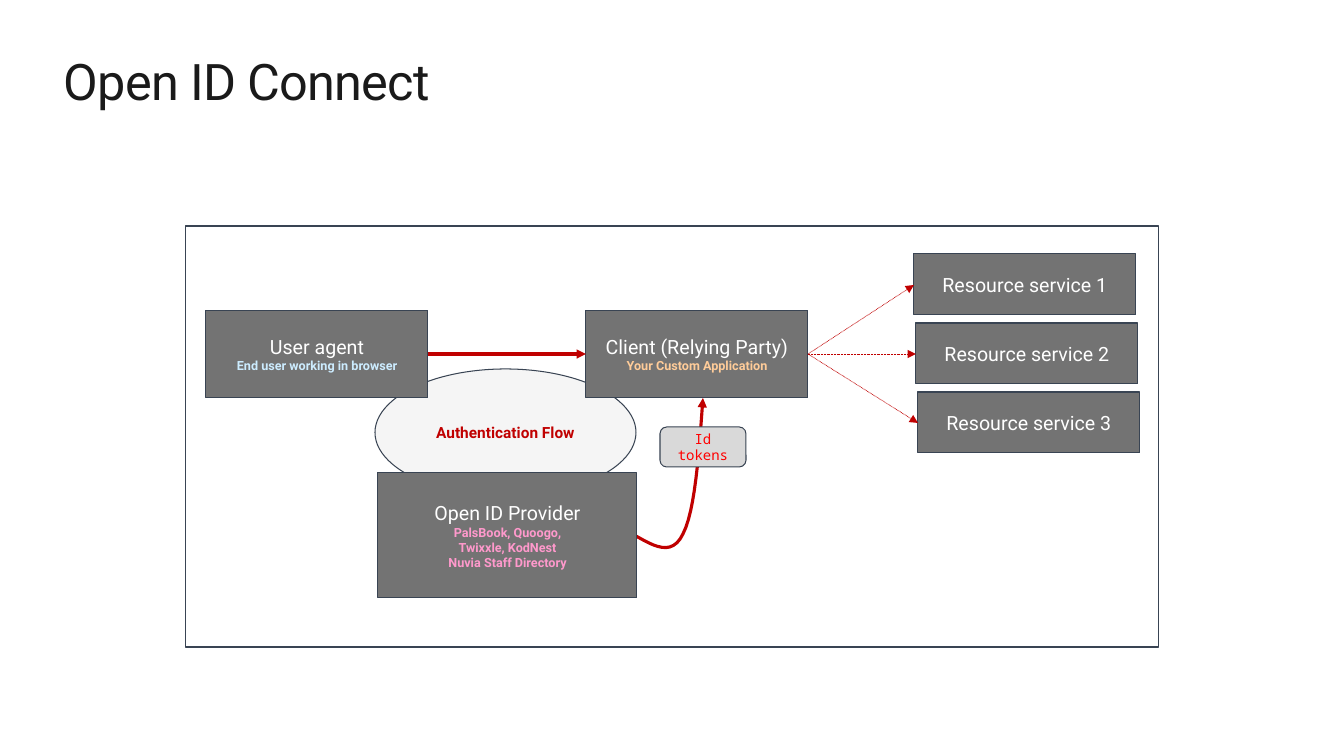
import pptx
import pptx.dml.color
import pptx.enum.dml
import pptx.enum.shapes
import pptx.enum.text
import pptx.oxml.ns
import pptx.util
from lxml import etree

EMU_PER_PX = 914400 / 100.8
SHAPES = pptx.enum.shapes.MSO_SHAPE
ALIGN = pptx.enum.text.PP_ALIGN
ANCHOR = pptx.enum.text.MSO_ANCHOR
OUTLINE, GREY, RED, WHITE = "394453", "737373", "C00000", "FFFFFF"


def px(length):
    return pptx.util.Emu(round(length * EMU_PER_PX))


def colour(value):
    return pptx.dml.color.RGBColor.from_string(value)


def style(size, ink, bold=False, name="Roboto"):
    return {"size": pptx.util.Pt(size), "bold": bold, "name": name, "ink": ink}


def write(box, lines, align=ALIGN.CENTER, anchor=ANCHOR.MIDDLE):
    """Fill a shape with (text, style) pairs, one paragraph each."""
    frame = box.text_frame
    frame.word_wrap = True
    frame.vertical_anchor = anchor
    for index, (text, look) in enumerate(lines):
        para = frame.paragraphs[0] if index == 0 else frame.add_paragraph()
        para.alignment = align
        span = para.add_run()
        span.text = text
        for key, value in look.items():
            if key == "ink":
                span.font.color.rgb = colour(value)
            else:
                setattr(span.font, key, value)
    return frame


def add_box(page, kind, area, fill, lines=()):
    box = page.shapes.add_shape(kind, *map(px, area))
    box.shadow.inherit = False
    box.fill.solid()
    box.fill.fore_color.rgb = colour(fill)
    box.line.color.rgb = colour(OUTLINE)
    box.line.width = pptx.util.Pt(0.75)
    write(box, lines)


def add_node(page, area, name, details=(), ink=WHITE):
    lines = [(name, style(14, WHITE))]
    lines += [(detail, style(9, ink, bold=True)) for detail in details]
    add_box(page, SHAPES.RECTANGLE, area, GREY, lines)


def finish_arrow(arrow, width, dash=None):
    arrow.line.color.rgb = colour(RED)
    arrow.line.width = pptx.util.Pt(width)
    if dash:
        arrow.line.dash_style = dash
    etree.SubElement(arrow.line._get_or_add_ln(),
                     pptx.oxml.ns.qn("a:tailEnd"), type="triangle")


def add_arrow(page, start, end, width, dash=None):
    arrow = page.shapes.add_connector(
        pptx.enum.shapes.MSO_CONNECTOR.STRAIGHT, *map(px, start + end))
    finish_arrow(arrow, width, dash)
    etree.SubElement(arrow._element.spPr, pptx.oxml.ns.qn("a:effectLst"))


def bezier(corners, steps=12):
    """Points along a cubic curve, after its first one."""
    for step in range(1, steps + 1):
        t = step / steps
        weights = ((1 - t) ** 3, 3 * t * (1 - t) ** 2,
                   3 * t ** 2 * (1 - t), t ** 3)
        yield tuple(px(sum(w * corner[axis] for w, corner in zip(weights, corners)))
                    for axis in (0, 1))


def add_curved_arrow(page, points, width):
    builder = page.shapes.build_freeform(*map(px, points[0]))
    for first in range(0, len(points) - 1, 3):
        builder.add_line_segments(list(bezier(points[first:first + 4])), close=False)
    arrow = builder.convert_to_shape()
    arrow.shadow.inherit = False
    arrow.fill.background()
    finish_arrow(arrow, width)


def add_title(page, text):
    box = page.shapes.add_textbox(*map(px, (64, 50, 1215, 61)))
    frame = write(box, [(text, style(36, "1A1A1A"))], ALIGN.LEFT, ANCHOR.TOP)
    for side in ("left", "right", "top", "bottom"):
        setattr(frame, f"margin_{side}", 0)
    frame.paragraphs[0].runs[0].font._element.set("spc", "-50")


def add_resources(page, start):
    for index in range(3):
        left, top = 914 + 2 * index, 254 + 69 * index
        add_node(page, (left, top, 222, 61), f"Resource service {index + 1}")
        add_arrow(page, start, (left, top + 31), 0.5,
                  pptx.enum.dml.MSO_LINE.ROUND_DOT)


def main():
    deck = pptx.Presentation()
    deck.slide_width, deck.slide_height = px(1344), px(756)
    page = deck.slides.add_slide(deck.slide_layouts[6])

    add_box(page, SHAPES.RECTANGLE, (186, 226, 973, 421), WHITE)
    add_box(page, SHAPES.OVAL, (375, 369, 261, 127), "F5F5F5",
            [("Authentication Flow", style(11, RED, bold=True))])
    add_title(page, "Open ID Connect")
    add_node(page, (206, 310, 222, 88), "User agent",
             ["End user working in browser"], "CCECFF")
    add_node(page, (586, 310, 222, 88), "Client (Relying Party)",
             ["Your Custom Application"], "FFCC99")
    add_resources(page, (808, 354))
    add_arrow(page, (428, 354), (586, 354), 2.25)
    add_curved_arrow(page, [(636, 536), (654, 546), (672, 557), (683, 534),
                            (695, 511), (699, 455), (703, 398)], 2.25)
    add_box(page, SHAPES.ROUNDED_RECTANGLE, (660, 427, 86, 40), "D9D9D9",
            [("Id tokens", style(10, "FF0000", name="Noto Sans Mono"))])
    add_node(page, (378, 473, 259, 125), "Open ID Provider",
             ["PalsBook, Quoogo,", "Twixxle, KodNest", "Nuvia Staff Directory"],
             "FF99CC")
    deck.save("out.pptx")


if __name__ == "__main__":
    main()
